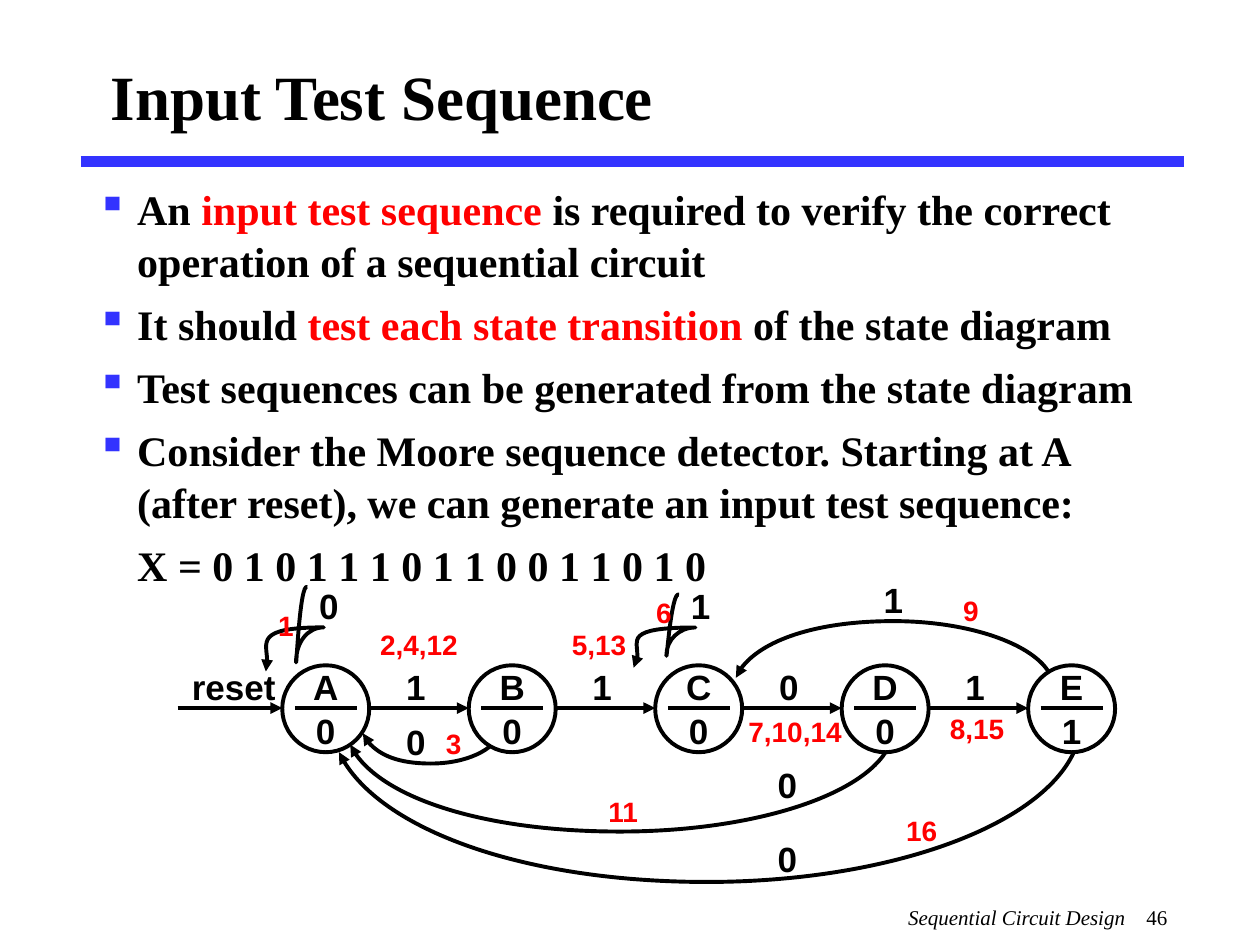
from dataclasses import dataclass

from lxml.etree import SubElement
from pptx import Presentation
from pptx.dml.color import RGBColor
from pptx.enum.shapes import MSO_CONNECTOR, MSO_SHAPE
from pptx.enum.text import MSO_ANCHOR, PP_ALIGN
from pptx.oxml.ns import qn
from pptx.util import Inches, Pt


@dataclass(frozen=True)
class Theme:
    black: str = "000000"
    white: str = "FFFFFF"
    red: str = "FF0000"
    blue: str = "3333FF"
    serif: str = "Times New Roman"
    sans: str = "Arial"
    title: float = 36
    body: float = 24
    label: float = 20
    step: float = 16
    footer: float = 12
    line: float = 2.25
    rule: float = 6


class SlideBuilder:
    def __init__(self, slide, theme):
        self.slide = slide
        self.theme = theme

    def text_frame(self, left, top, width, height, **formats):
        box = self.slide.shapes.add_textbox(
            Inches(left), Inches(top), Inches(width), Inches(height))
        for name, value in ({"word_wrap": True} | formats).items():
            setattr(box.text_frame, name, value)
        return box.text_frame

    def run(self, paragraph, text, color, **formats):
        run = paragraph.add_run()
        run.text = text
        for name, value in formats.items():
            setattr(run.font, name, value)
        run.font.color.rgb = RGBColor.from_string(color)

    def title(self, text):
        frame = self.text_frame(0.78, 0.31, 8.5, 0.89, vertical_anchor=MSO_ANCHOR.MIDDLE)
        self.run(frame.paragraphs[0], text, self.theme.black,
                 name=self.theme.serif, size=Pt(self.theme.title), bold=True)

    def bullet(self, properties):
        color = SubElement(properties, qn("a:buClr"))
        SubElement(color, qn("a:srgbClr"), val=self.theme.blue)
        SubElement(properties, qn("a:buChar"), char="▪")

    def body(self, items):
        frame = self.text_frame(0.67, 1.39, 8.71, 3.64)
        for index, (bulleted, parts) in enumerate(items):
            paragraph = frame.paragraphs[0] if index == 0 else frame.add_paragraph()
            properties = paragraph._p.get_or_add_pPr()
            properties.set("marL", str(Inches(0.32)))
            if bulleted:
                properties.set("indent", str(-Inches(0.32)))
                self.bullet(properties)
            paragraph.line_spacing = 1.04
            if index:
                paragraph.space_before = Pt(6)
            for text, color in parts:
                self.run(paragraph, text, color, name=self.theme.serif,
                         size=Pt(self.theme.body), bold=True)

    def footer(self, text, number):
        paragraph = self.text_frame(7.11, 7.13, 2.33, 0.37).paragraphs[0]
        tabs = SubElement(paragraph._p.get_or_add_pPr(), qn("a:tabLst"))
        SubElement(tabs, qn("a:tab"), pos=str(Inches(1.89)), algn="l")
        for part, italic in ((text + "\t", True), (number, False)):
            self.run(paragraph, part, self.theme.black, name=self.theme.serif,
                     size=Pt(self.theme.footer), italic=italic)

    def label(self, text, left, top, width, size, color):
        frame = self.text_frame(left, top, width, 0.3, margin_left=0, margin_right=0,
                                margin_top=0, margin_bottom=0)
        paragraph = frame.paragraphs[0]
        paragraph.alignment = PP_ALIGN.CENTER
        self.run(paragraph, text, color, name=self.theme.sans, size=Pt(size), bold=True)

    def input_label(self, text, left, top, width=0.54):
        self.label(text, left, top, width, self.theme.label, self.theme.black)

    def step_label(self, text, left, top, width):
        self.label(text, left, top, width, self.theme.step, self.theme.red)

    def style_line(self, shape, color, width, arrow=None):
        shape.line.color.rgb = RGBColor.from_string(color)
        shape.line.width = Pt(width)
        if arrow:
            SubElement(shape.line._get_or_add_ln(), qn(f"a:{arrow}"), type="triangle")

    def line(self, start, end, top, color=None, width=None, arrow=None):
        connector = self.slide.shapes.add_connector(
            MSO_CONNECTOR.STRAIGHT, Inches(start), Inches(top), Inches(end), Inches(top))
        self.style_line(connector, color or self.theme.black, width or self.theme.line, arrow)
        SubElement(connector._element.spPr, qn("a:effectLst"))

    def curve(self, points, arrow):
        start, *controls = [(Inches(x), Inches(y)) for x, y in points]
        builder = self.slide.shapes.build_freeform(*start)
        builder.add_line_segments(controls, close=False)
        shape = builder.convert_to_shape()
        outline = next(shape._element.iter(qn("a:path")))
        segments = outline.findall(qn("a:lnTo"))
        for index in range(0, len(segments), 3):
            bezier = SubElement(outline, qn("a:cubicBezTo"))
            for segment in segments[index:index + 3]:
                bezier.append(segment[0])
                outline.remove(segment)
        shape.fill.background()
        self.style_line(shape, self.theme.black, self.theme.line, arrow)
        shape.shadow.inherit = False

    def state(self, name, output, left):
        circle = self.slide.shapes.add_shape(
            MSO_SHAPE.OVAL, Inches(left), Inches(5.28), Inches(0.69), Inches(0.69))
        circle.fill.solid()
        circle.fill.fore_color.rgb = RGBColor.from_string(self.theme.white)
        self.style_line(circle, self.theme.black, self.theme.line)
        circle.shadow.inherit = False
        self.line(left + 0.1, left + 0.59, 5.62)
        for text, top in ((name, 5.28), (output, 5.63)):
            self.input_label(text, left + 0.15, top, 0.39)


def main():
    presentation = Presentation()
    presentation.slide_width, presentation.slide_height = Inches(10), Inches(7.5)
    theme = Theme()
    builder = SlideBuilder(presentation.slides.add_slide(presentation.slide_layouts[6]), theme)
    black, red = theme.black, theme.red

    builder.line(0.64, 9.4, 1.28, theme.blue, theme.rule)
    builder.footer("Sequential Circuit Design", "46")
    builder.title("Input Test Sequence")
    builder.body([
        (True, [("An ", black), ("input test sequence", red),
                (" is required to verify the correct operation of a sequential circuit", black)]),
        (True, [("It should ", black), ("test each state transition", red),
                (" of the state diagram", black)]),
        (True, [("Test sequences can be generated from the state diagram", black)]),
        (True, [("Consider the Moore sequence detector. Starting at A (after reset), "
                 "we can generate an input test sequence:", black)]),
        (False, [("X = 0 1 0 1 1 1 0 1 1 0 0 1 1 0 1 0", black)]),
    ])

    return_curves = [
        [(5.84, 5.38), (5.94, 5.12), (6.47, 4.93), (7.09, 4.93),
         (7.72, 4.93), (8.26, 5.13), (8.35, 5.39)],
        [(2.69, 5.97), (2.97, 6.57), (4.19, 7), (5.61, 7),
         (7.06, 7), (8.3, 6.55), (8.54, 5.93)],
        [(2.88, 5.82), (2.93, 5.96), (3.16, 6.06), (3.42, 6.06),
         (3.7, 6.06), (3.93, 5.95), (3.97, 5.81)],
        [(2.78, 5.91), (2.96, 6.31), (3.86, 6.6), (4.92, 6.6),
         (6, 6.6), (6.91, 6.3), (7.07, 5.89)],
    ]
    self_loops = [
        [(5.39, 4.72), (5.33, 4.68), (5.29, 5.27), (5.29, 5.2), (5.29, 5.08),
         (5.39, 4.98), (5.52, 4.98), (4.96, 4.98), (5.06, 5.08), (5.06, 5.2),
         (5.06, 5.23), (5.05, 5.27), (5.03, 5.3)],
        [(2.44, 4.66), (2.38, 4.61), (2.35, 5.34), (2.35, 5.25), (2.35, 5.1),
         (2.44, 4.98), (2.57, 4.98), (2.02, 4.98), (2.12, 5.1), (2.12, 5.25),
         (2.12, 5.28), (2.12, 5.31), (2.11, 5.33)],
    ]
    for curves, arrow in ((return_curves, "headEnd"), (self_loops, "tailEnd")):
        for points in curves:
            builder.curve(points, arrow)

    first_state, pitch = 2.24, 1.48
    builder.line(1.41, first_state, 5.62, arrow="tailEnd")
    builder.input_label("reset", 1.46, 5.28, 0.79)
    for index, value in enumerate("1101"):
        left = first_state + index * pitch
        builder.line(left + 0.69, left + pitch, 5.62, arrow="tailEnd")
        builder.input_label(value, left + 0.79, 5.28)
    for index, (name, output) in enumerate(zip("ABCDE", "00001")):
        builder.state(name, output, first_state + index * pitch)

    for value, left, top in (("0", 2.34, 4.64), ("1", 5.29, 4.64), ("0", 3.03, 5.72),
                             ("0", 5.98, 6.06), ("0", 5.98, 6.65), ("1", 6.82, 4.59)):
        builder.input_label(value, left, top)
    for steps, left, top, width in (
            ("7,10,14", 5.89, 5.67, 0.84), ("1", 2.15, 4.83, 0.24),
            ("2,4,12", 2.98, 4.98, 0.69), ("5,13", 4.51, 4.98, 0.49),
            ("3", 3.48, 5.77, 0.24), ("11", 4.65, 6.31, 0.59),
            ("6", 5.15, 4.73, 0.24), ("8,15", 7.46, 5.65, 0.59),
            ("9", 7.51, 4.71, 0.39), ("16", 7.12, 6.46, 0.39)):
        builder.step_label(steps, left, top, width)

    presentation.save("out.pptx")


if __name__ == "__main__":
    main()
